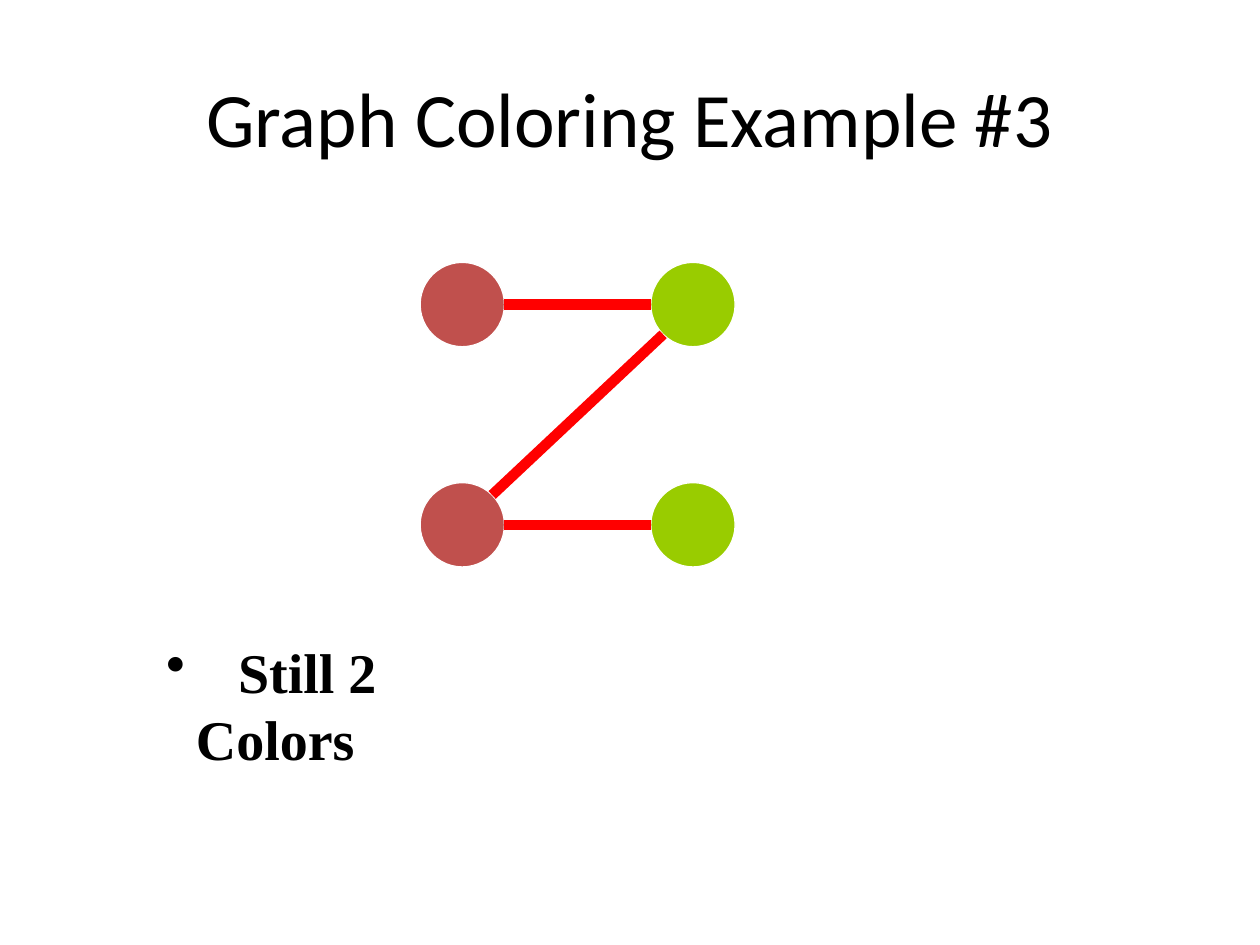
from dataclasses import dataclass
from math import copysign, hypot

from lxml.etree import SubElement
from pptx import Presentation
from pptx.dml.color import RGBColor
from pptx.enum.shapes import MSO_CONNECTOR, MSO_SHAPE
from pptx.enum.text import MSO_ANCHOR, PP_ALIGN
from pptx.oxml.ns import qn
from pptx.util import Cm, Pt


@dataclass(frozen=True)
class Theme:
    """Colours, fonts and sizes of the slide."""
    ink: RGBColor = RGBColor(0, 0, 0)
    outline: RGBColor = RGBColor(255, 255, 255)
    edge: RGBColor = RGBColor(255, 0, 0)
    first_color: RGBColor = RGBColor(0xC0, 0x50, 0x4D)
    second_color: RGBColor = RGBColor(0x99, 0xCC, 0)
    title_font: str = "Calibri"
    title_size: int = 44
    note_font: str = "Times New Roman"
    note_size: int = 32
    edge_width: float = 6
    outline_width: float = 0.75


THEME = Theme()


def add_text(slide, box, wording, font, size, bold=False):
    """Place one vertically centred run in a box and return its paragraph."""
    frame = slide.shapes.add_textbox(*map(Cm, box)).text_frame
    frame.word_wrap = True
    frame.vertical_anchor = MSO_ANCHOR.MIDDLE
    paragraph = frame.paragraphs[0]
    run = paragraph.add_run()
    run.text = wording
    run.font.name, run.font.size, run.font.bold = font, Pt(size), bold
    run.font.color.rgb = THEME.ink
    return paragraph


def add_title(slide, box):
    """Write the centred heading."""
    heading = add_text(slide, box, "Graph Coloring Example #3",
                       THEME.title_font, THEME.title_size)
    heading.alignment = PP_ALIGN.CENTER


def add_conclusion(slide, box, hanging=0.6, first_line=1.45):
    """Write the bulleted result, its first line set in by a tab stop."""
    conclusion = add_text(slide, box, "\tStill 2 Colors",
                          THEME.note_font, THEME.note_size, bold=True)
    properties = conclusion._p.get_or_add_pPr()
    properties.set("marL", str(Cm(hanging)))
    properties.set("indent", str(-Cm(hanging)))
    SubElement(properties, qn("a:buChar"), char="•")
    tabs = SubElement(properties, qn("a:tabLst"))
    SubElement(tabs, qn("a:tab"), pos=str(Cm(first_line)), algn="l")


def add_node(slide, center, radius, color):
    """Draw one coloured vertex."""
    x, y = center
    node = slide.shapes.add_shape(MSO_SHAPE.OVAL, Cm(x - radius), Cm(y - radius),
                                  Cm(2 * radius), Cm(2 * radius))
    node.shadow.inherit = False
    node.fill.solid()
    node.fill.fore_color.rgb = color
    node.line.color.rgb = THEME.outline
    node.line.width = Pt(THEME.outline_width)


def add_edge(slide, start, end, radius):
    """Join two vertices at the nearest of their eight rim points."""
    step_x, step_y = (copysign(1, b - a) if a != b else 0
                      for a, b in zip(start, end))
    reach = radius / hypot(step_x, step_y)
    edge = slide.shapes.add_connector(
        MSO_CONNECTOR.STRAIGHT,
        Cm(start[0] + step_x * reach), Cm(start[1] + step_y * reach),
        Cm(end[0] - step_x * reach), Cm(end[1] - step_y * reach))
    edge.line.color.rgb = THEME.edge
    edge.line.width = Pt(THEME.edge_width)
    SubElement(edge._element.spPr, qn("a:effectLst"))


def add_graph(slide, box, radius=0.85):
    """Draw the two-by-two graph, one colour for each column."""
    left, top, width, height = box
    xs = left + radius, left + width - radius
    ys = top + radius, top + height - radius
    centers = [(x, y) for y in ys for x in xs]
    for center, color in zip(centers, (THEME.first_color, THEME.second_color) * 2):
        add_node(slide, center, radius, color)
    for start, end in ((0, 1), (2, 1), (2, 3)):
        add_edge(slide, centers[start], centers[end], radius)


def main():
    """Build and save the slide."""
    deck = Presentation()
    deck.slide_width, deck.slide_height = Cm(25.4), Cm(19.05)
    slide = deck.slides.add_slide(deck.slide_layouts[6])
    add_title(slide, (1.27, 0.76, 22.86, 3.18))
    add_graph(slide, (8.47, 5.29, 6.35, 6.14))
    add_conclusion(slide, (3.1, 13.39, 8.03, 1.63))
    deck.save("out.pptx")


if __name__ == "__main__":
    main()
